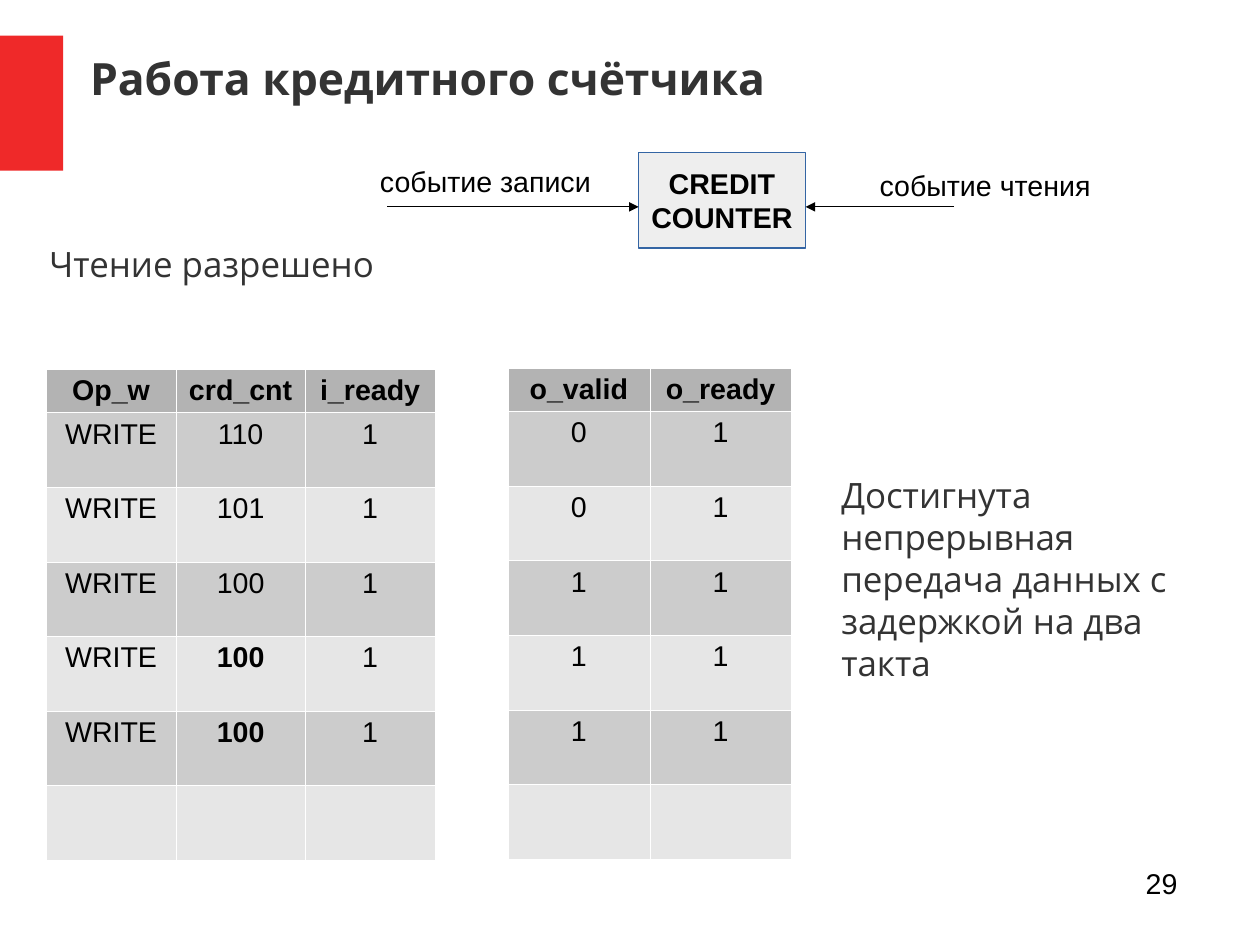
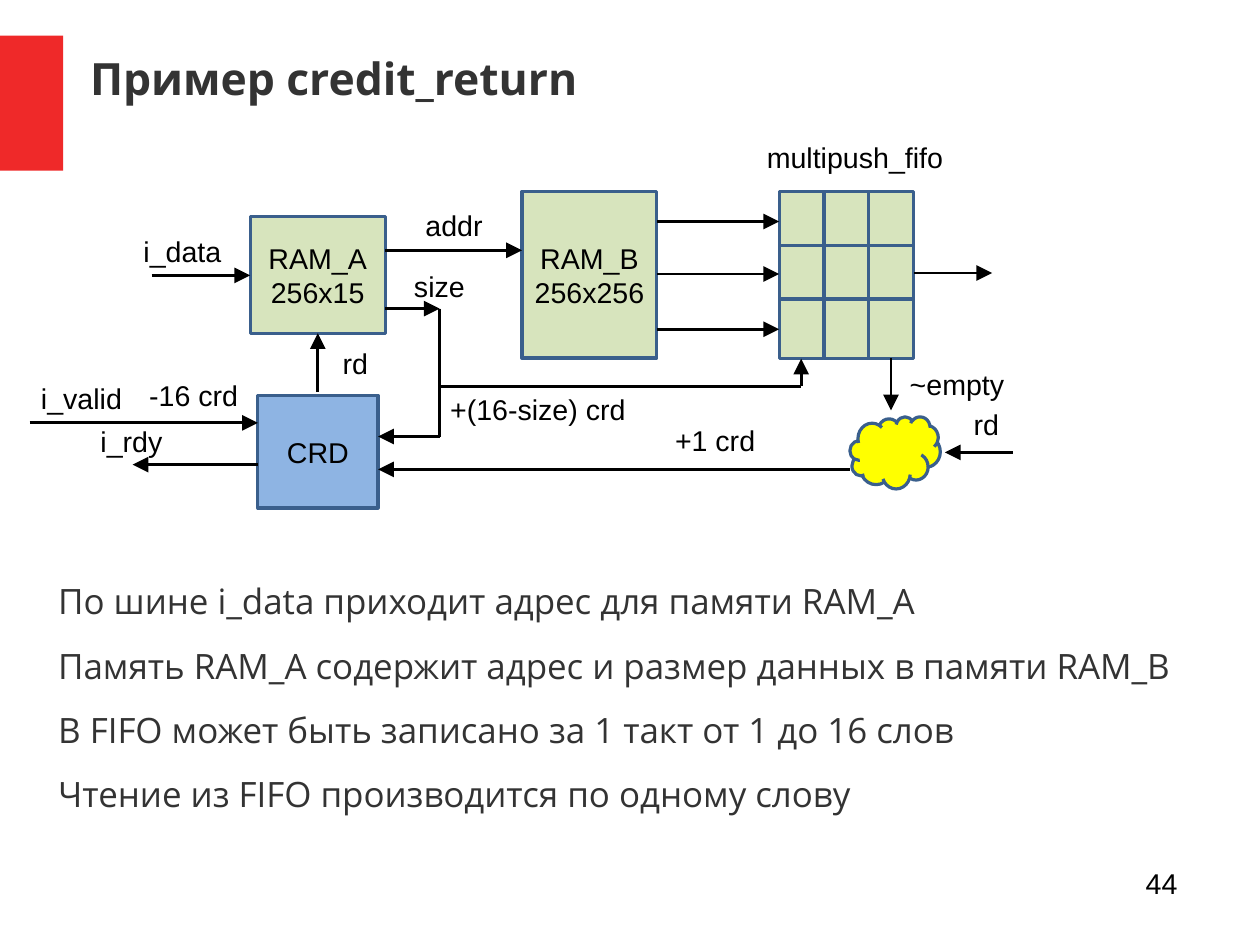
from lxml import etree
from pptx import Presentation
from pptx import util as u
from pptx.dml import color
from pptx.enum import shapes, text
from pptx.oxml import ns

Pt = u.Pt
LEFT, MID, RIGHT = text.PP_ALIGN.LEFT, text.PP_ALIGN.CENTER, text.PP_ALIGN.RIGHT
BLACK, GREY, RED, WHITE = "000000", "333333", "EF2929", "FFFFFF"
GREEN, BLUE, EDGE = "D7E4BD", "8EB4E3", "3A5F8C"
RECT, CLOUD = shapes.MSO_SHAPE.RECTANGLE, shapes.MSO_SHAPE.CLOUD


def write(frame, lines, size=18, face="Arial", tone=BLACK, bold=False, align=LEFT, after=0):
    for n, line in enumerate(lines):
        par = frame.add_paragraph() if n else frame.paragraphs[0]
        par.alignment = align
        par.space_after = Pt(after)
        run = par.add_run()
        run.text = line
        run.font.size, run.font.name, run.font.bold = Pt(size), face, bold
        run.font.color.rgb = color.RGBColor.from_string(tone)


def block(slide, kind, spot, fill, edge=None, width=2):
    shape = slide.shapes.add_shape(kind, *map(Pt, spot))
    shape.shadow.inherit = False
    shape.fill.solid()
    shape.fill.fore_color.rgb = color.RGBColor.from_string(fill)
    if edge:
        shape.line.color.rgb = color.RGBColor.from_string(edge)
        shape.line.width = Pt(width)
    else:
        shape.line.fill.background()
    shape.text_frame.word_wrap = False
    shape.text_frame.vertical_anchor = text.MSO_ANCHOR.MIDDLE
    return shape


deck = Presentation()
deck.slide_width, deck.slide_height = Pt(793.7), Pt(595.28)

# Shared layout: title place and red band
base = deck.slide_layouts[5]
head = base.placeholders[0]
head.left, head.top, head.width, head.height = map(Pt, (56.7, 11, 697, 76))
area = head.text_frame
area.margin_left = area.margin_right = area.margin_top = area.margin_bottom = 0
area.vertical_anchor = text.MSO_ANCHOR.MIDDLE

# Slides with title and number
pages = []
for title, num in (("Работа кредитного счётчика", "29"), ("Пример credit_return", "44")):
    page = deck.slides.add_slide(base)
    write(page.shapes.title.text_frame, [title], 28, "Open Sans", GREY, True)
    box = page.shapes.add_textbox(*map(Pt, (568.8, 542, 180, 41)))
    write(box.text_frame, [num], align=RIGHT)
    pages.append(page)
count, flow = pages

band = block(count, RECT, (0, 22.5, 39.8, 85), RED)
base.shapes._spTree.insert(2, band._element)

# Body text
bodies = (
    (count, (31, 153, 377, 68), ["Чтение разрешено"]),
    (count, (530, 298.4, 235, 169),
     ["Достигнута непрерывная передача данных с задержкой на два такта"]),
    (flow, (36.7, 365.4, 717, 164),
     ["По шине i_data приходит адрес для памяти RAM_A",
      "Память RAM_A содержит адрес и размер данных в памяти RAM_B",
      "В FIFO может быть записано за 1 такт от 1 до 16 слов",
      "Чтение из FIFO производится по одному слову"]),
)
for page, spot, lines in bodies:
    area = page.shapes.add_textbox(*map(Pt, spot)).text_frame
    area.margin_left = area.margin_right = area.margin_top = area.margin_bottom = 0
    area.word_wrap = True
    write(area, lines, 22, "Open Sans", GREY, after=14.1)

# Tables; a star marks a bold value
tables = (
    (320, 231.8, 89.3, ("o_valid o_ready", "0 1", "0 1", "1 1", "1 1", "1 1", "")),
    (29.2, 232.6, 81.6, ("Op_w crd_cnt i_ready", "WRITE 110 1", "WRITE 101 1",
                         "WRITE 100 1", "WRITE *100 1", "WRITE *100 1", "")),
)
for x, y, wide, rows in tables:
    cols = len(rows[0].split())
    grid = count.shapes.add_table(len(rows), cols, Pt(x), Pt(y), Pt(wide * cols), Pt(309.2)).table
    for col in grid.columns:
        col.width = Pt(wide)
    for r, row in enumerate(rows):
        grid.rows[r].height = Pt(47 if r else 27.2)
        vals = row.split() or [""] * cols
        for c, val in enumerate(vals):
            cell = grid.cell(r, c)
            cell.margin_bottom = Pt(2)
            props = cell._tc.get_or_add_tcPr()
            for side in ("lnL", "lnR", "lnT", "lnB"):
                line = etree.SubElement(props, ns.qn("a:" + side), w="762")
                fill = etree.SubElement(line, ns.qn("a:solidFill"))
                etree.SubElement(fill, ns.qn("a:srgbClr"), val=WHITE)
            cell.fill.solid()
            tone = ("E6E6E6", "CCCCCC")[r % 2] if r else "B3B3B3"
            cell.fill.fore_color.rgb = color.RGBColor.from_string(tone)
            if val:
                write(cell.text_frame, [val.lstrip("*")], bold=not r or val[0] == "*", align=MID)

# Named blocks
blocks = (
    (count, (402.3, 96.2, 105, 60), "EEEEEE", "3465A4", 0.75, ["CREDIT", "COUNTER"]),
    (flow, (157.6, 136.5, 85, 73.4), GREEN, EDGE, 2, ["RAM_A", "256x15"]),
    (flow, (328.8, 120.6, 85, 105), GREEN, EDGE, 2, ["RAM_B", "256x256"]),
    (flow, (162.4, 249.2, 75.8, 70.8), BLUE, EDGE, 2, ["CRD"]),
)
for page, spot, fill, edge, width, lines in blocks:
    shape = block(page, RECT, spot, fill, edge, width)
    write(shape.text_frame, lines, bold=page is count, align=MID)

# Queue cells and cloud
for r in range(3):
    for c in range(3):
        block(flow, RECT, (490.8 + 28.2 * c, 120.6 + 33.9 * r, 28.2, 37.4), GREEN, EDGE)
block(flow, CLOUD, (535.4, 262.5, 56.9, 45.4), "FFFF00", EDGE)

# Labels
labels = (
    (count, 232.3, 100, 153, "событие записи", LEFT),
    (count, 547, 102.2, 167, "событие чтения", LEFT),
    (flow, 476, 84.7, 126.7, "multipush_fifo", LEFT),
    (flow, 83.3, 143.6, 64, "i_data", LEFT),
    (flow, 18.7, 236.2, 66.2, "i_valid", LEFT),
    (flow, 56.2, 263.5, 54, "i_rdy", LEFT),
    (flow, 208.8, 214.3, 31, "rd", LEFT),
    (flow, 606.2, 252.7, 31, "rd", LEFT),
    (flow, 566, 227.5, 75, "~empty", LEFT),
    (flow, 418.1, 262.8, 68.4, "+1 crd", LEFT),
    (flow, 86.9, 234.4, 85.7, "-16 crd", LEFT),
    (flow, 251.8, 127.4, 68.4, "addr", MID),
    (flow, 242.6, 165.6, 68.4, "size", MID),
    (flow, 276.5, 243.4, 153.4, "+(16-size) crd", LEFT),
)
for page, x, y, wide, word, align in labels:
    area = page.shapes.add_textbox(Pt(x), Pt(y), Pt(wide), Pt(28.8)).text_frame
    area.word_wrap = wide > 60
    write(area, [word], align=align)

# Lines: page, width, arrow size, start, end
links = [
    (count, 0.75, "med", (244, 130.3), (402.3, 130.3)),
    (count, 0.75, "med", (601, 130.3), (507.5, 130.3)),
    (flow, 1.75, "lg", (95.5, 173.5), (157.6, 173.5)),
    (flow, 1.75, "lg", (242.6, 157.7), (328.8, 157.7)),
    (flow, 1.75, "lg", (576, 172), (625, 172)),
    (flow, 1.75, "lg", (200.2, 247), (200.2, 209.9)),
    (flow, 1.75, "lg", (535.4, 295.7), (238.2, 295.7)),
    (flow, 1.75, "lg", (18.7, 266.4), (162.4, 266.4)),
    (flow, 1.75, "lg", (162.4, 292.7), (83.5, 292.7)),
    (flow, 1.75, "lg", (638, 285), (595.2, 285)),
    (flow, 1.5, "lg", (561.3, 225.4), (561.3, 258.5)),
    (flow, 1.75, "lg", (242.6, 194.4), (277, 194.4)),
    (flow, 1.75, None, (277, 194.4), (277, 275)),
    (flow, 1.75, "lg", (277, 275), (238.2, 275)),
    (flow, 1.75, None, (277, 243.4), (504.7, 243.4)),
    (flow, 1.75, "lg", (504.7, 243.4), (504.7, 226)),
]
links += [(flow, 1.75, "lg", (413.8, y), (490.8, y)) for y in (139.5, 172.6, 207.4)]
for page, width, tip, start, end in links:
    link = page.shapes.add_connector(shapes.MSO_CONNECTOR.STRAIGHT, *map(Pt, start + end))
    link.line.color.rgb = color.RGBColor.from_string(BLACK)
    link.line.width = Pt(width)
    if tip:
        etree.SubElement(link.line._get_or_add_ln(), ns.qn("a:tailEnd"),
                         type="triangle", w=tip, len=tip)
    etree.SubElement(link._element.spPr, ns.qn("a:effectLst"))

deck.save("out.pptx")
